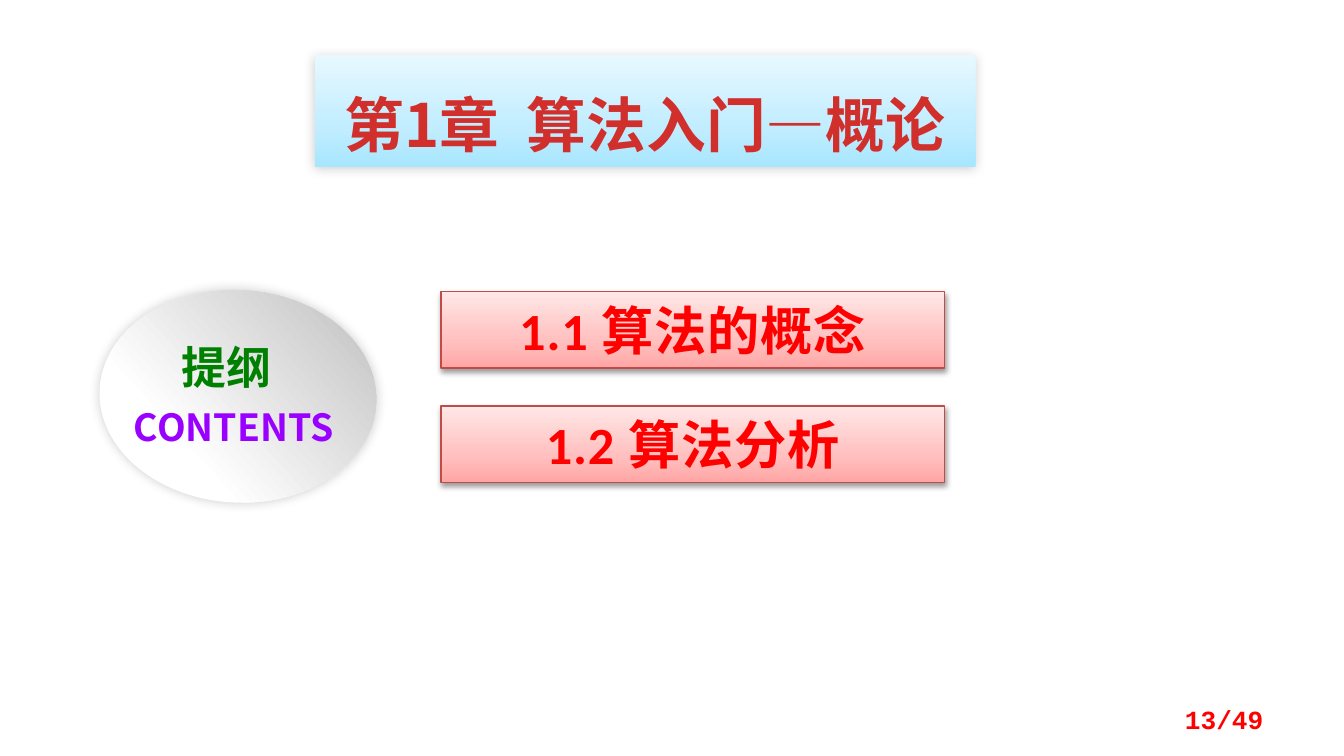
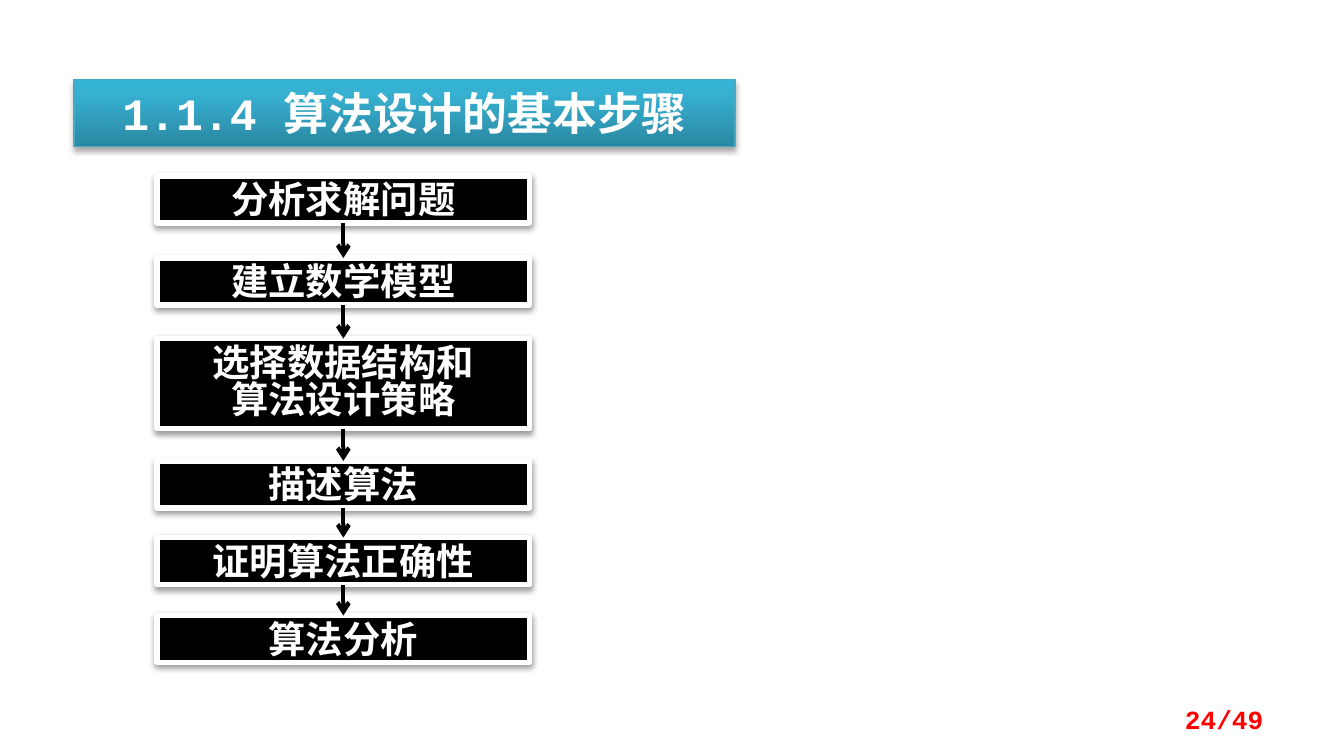
from dataclasses import dataclass

from lxml.etree import SubElement
from pptx import Presentation
from pptx.dml.color import RGBColor
from pptx.enum.shapes import MSO_CONNECTOR, MSO_SHAPE
from pptx.enum.text import MSO_ANCHOR, MSO_AUTO_SIZE, PP_ALIGN
from pptx.oxml.ns import qn
from pptx.util import Inches, Pt


@dataclass(frozen=True)
class TextStyle:
    size: float
    color: str
    latin: str = "Noto Sans CJK SC"
    bold: bool = True
    spacing: float = 0


@dataclass(frozen=True)
class Shadow:
    """Opacity in percent, blur and distance in points, clockwise direction."""
    opacity: int
    blur: float
    distance: float
    direction: int


class Theme:
    east_asian = "Noto Sans CJK SC"
    chapter = TextStyle(32, "D02F2C")
    section = TextStyle(24, "FFFFFF", "Courier New")
    topic = TextStyle(28, "FF0000", "Calibri", spacing=0.5)
    outline = TextStyle(24, "008000")
    contents = TextStyle(20, "9900FF")
    step = TextStyle(20, "FFFFFF")
    page_number = TextStyle(14, "FF0000", "Courier New")
    sky = [(0, "A7E6FF"), (35, "C1EDFF"), (100, "E7F8FF")]
    teal = [(0, "2A88A2"), (80, "37B1D2"), (100, "34B4D6")]
    rose = [(0, "FFA6A5"), (35, "FFC0BF"), (100, "FFE7E7")]
    silver = [(29, "FFFFFF"), (98, "BFBFBF")]
    teal_line, rose_line, step_line, step_fill = "46AAC5", "BF4C48", "FFFFFF", "000000"
    banner_shadow = Shadow(20, 6, 1, 135)
    oval_shadow = Shadow(20, 6, 0, 225)
    section_shadow = Shadow(35, 3.1, 1.8, 90)
    box_shadow = Shadow(38, 3.1, 1.6, 90)


PAGE_TOTAL = 49
CHAPTER = {"title": "第1章  算法入门—概论", "page": 13,
           "topics": ["1.1 算法的概念", "1.2 算法分析"]}
STEPS = {"title": "1.1.4 算法设计的基本步骤", "page": 24,
         "steps": [  # top edge, lines
             (1.31, ["分析求解问题"]),
             (1.92, ["建立数学模型"]),
             (2.52, ["选择数据结构和", "算法设计策略"]),
             (3.43, ["描述算法"]),
             (4.00, ["证明算法正确性"]),
             (4.58, ["算法分析"]),
         ]}


def rgb(color):
    return RGBColor.from_string(color)


def inches(place):
    return [Inches(value) for value in place]


def write(shape, lines, style, align=PP_ALIGN.CENTER, anchor=MSO_ANCHOR.TOP,
          insets=(0.1, 0.05, 0.1, 0.05), line_spacing=None):
    frame = shape.text_frame
    frame.word_wrap = True
    frame.auto_size = MSO_AUTO_SIZE.NONE
    frame.vertical_anchor = anchor
    (frame.margin_left, frame.margin_top,
     frame.margin_right, frame.margin_bottom) = inches(insets)
    frame.text = "\n".join(lines)
    for para in frame.paragraphs:
        para.alignment = align
        if line_spacing:
            para.line_spacing = Pt(line_spacing)
        font = para.font
        font.size, font.bold, font.name = Pt(style.size), style.bold, style.latin
        font.color.rgb = rgb(style.color)
        properties = para._p.pPr.find(qn("a:defRPr"))
        SubElement(properties, qn("a:ea"), typeface=Theme.east_asian)
        if style.spacing:
            properties.set("spc", str(int(style.spacing * 100)))


def fill_gradient(shape, stops, angle=90):
    """Run the stops along a counter-clockwise angle; 90 goes upwards."""
    shape.fill.gradient()
    shape.fill.gradient_angle = angle
    stop_list = shape._element.spPr.find(qn("a:gradFill")).find(qn("a:gsLst"))
    for old_stop in list(stop_list):
        stop_list.remove(old_stop)
    for position, color in stops:
        stop = SubElement(stop_list, qn("a:gs"), pos=str(position * 1000))
        SubElement(stop, qn("a:srgbClr"), val=color)


def decorate(shape, shadow, line=None, width=0.75):
    if line:
        shape.line.color.rgb = rgb(line)
        shape.line.width = Pt(width)
    else:
        shape.line.fill.background()
    shape.shadow.inherit = False
    effects = shape._element.spPr.find(qn("a:effectLst"))
    outer = SubElement(effects, qn("a:outerShdw"), blurRad=str(Pt(shadow.blur)),
                       dist=str(Pt(shadow.distance)),
                       dir=str(shadow.direction * 60000), rotWithShape="0")
    color = SubElement(outer, qn("a:srgbClr"), val="000000")
    SubElement(color, qn("a:alpha"), val=str(shadow.opacity * 1000))


def add_page(deck, content, place, style, stops, shadow, line=None, inset_top=0.05):
    """Add a slide with its title banner and page number."""
    page = deck.slides.add_slide(deck.slide_layouts[5])
    title = page.shapes.title
    title.left, title.top, title.width, title.height = inches(place)
    fill_gradient(title, stops)
    decorate(title, shadow, line)
    write(title, [content["title"]], style, insets=(0.1, inset_top, 0.1, 0.05))
    number = page.shapes.add_textbox(*inches((7.17, 5.2, 2.33, 0.3)))
    write(number, [f"{content['page']}/{PAGE_TOTAL}"], Theme.page_number,
          PP_ALIGN.RIGHT, MSO_ANCHOR.MIDDLE)
    return page


def add_arrow(page, upper, lower):
    arrow = page.shapes.add_connector(MSO_CONNECTOR.STRAIGHT, 0, 0, 0, 0)
    arrow.begin_connect(upper, 2)
    arrow.end_connect(lower, 0)
    arrow.line.color.rgb = rgb(Theme.step_fill)
    arrow.line.width = Pt(2.25)
    SubElement(arrow.line._get_or_add_ln(), qn("a:tailEnd"), type="arrow")
    SubElement(arrow._element.spPr, qn("a:effectLst"))


def build_chapter(deck):
    page = add_page(deck, CHAPTER, (2.34, 0.41, 4.92, 0.83), Theme.chapter,
                    Theme.sky, Theme.banner_shadow, inset_top=0.24)
    for index, topic in enumerate(CHAPTER["topics"]):
        place = inches((3.28, 2.17 + 0.85 * index, 3.75, 0.57))
        box = page.shapes.add_shape(MSO_SHAPE.RECTANGLE, *place)
        fill_gradient(box, Theme.rose)
        decorate(box, Theme.box_shadow, Theme.rose_line)
        write(box, [topic], Theme.topic)

    oval = page.shapes.add_shape(MSO_SHAPE.OVAL, *inches((0.74, 2.16, 2.06, 1.58)))
    oval.rotation = 3
    fill_gradient(oval, Theme.silver, 45)
    decorate(oval, Theme.oval_shadow)
    for text, place, style in [
        ("CONTENTS", (0.82, 2.96, 1.84, 0.44), Theme.contents),
        ("提纲", (1.17, 2.48, 1.03, 0.5), Theme.outline),
    ]:
        write(page.shapes.add_textbox(*inches(place)), [text], style)


def build_steps(deck):
    page = add_page(deck, STEPS, (0.55, 0.59, 4.92, 0.5), Theme.section,
                    Theme.teal, Theme.section_shadow, Theme.teal_line)
    boxes = []
    for top, lines in STEPS["steps"]:
        height = 0.35 + 0.32 * (len(lines) - 1)
        box = page.shapes.add_shape(MSO_SHAPE.RECTANGLE,
                                    *inches((1.17, top, 2.77, height)))
        box.fill.solid()
        box.fill.fore_color.rgb = rgb(Theme.step_fill)
        decorate(box, Theme.box_shadow, Theme.step_line, 3)
        write(box, lines, Theme.step, insets=(0, 0.06, 0, 0), line_spacing=20)
        boxes.append(box)
    for upper, lower in zip(boxes, boxes[1:]):
        add_arrow(page, upper, lower)


def main():
    deck = Presentation()
    deck.slide_width = Inches(10)
    deck.slide_height = deck.slide_width * 9 // 16
    build_chapter(deck)
    build_steps(deck)
    deck.save("out.pptx")


if __name__ == "__main__":
    main()
